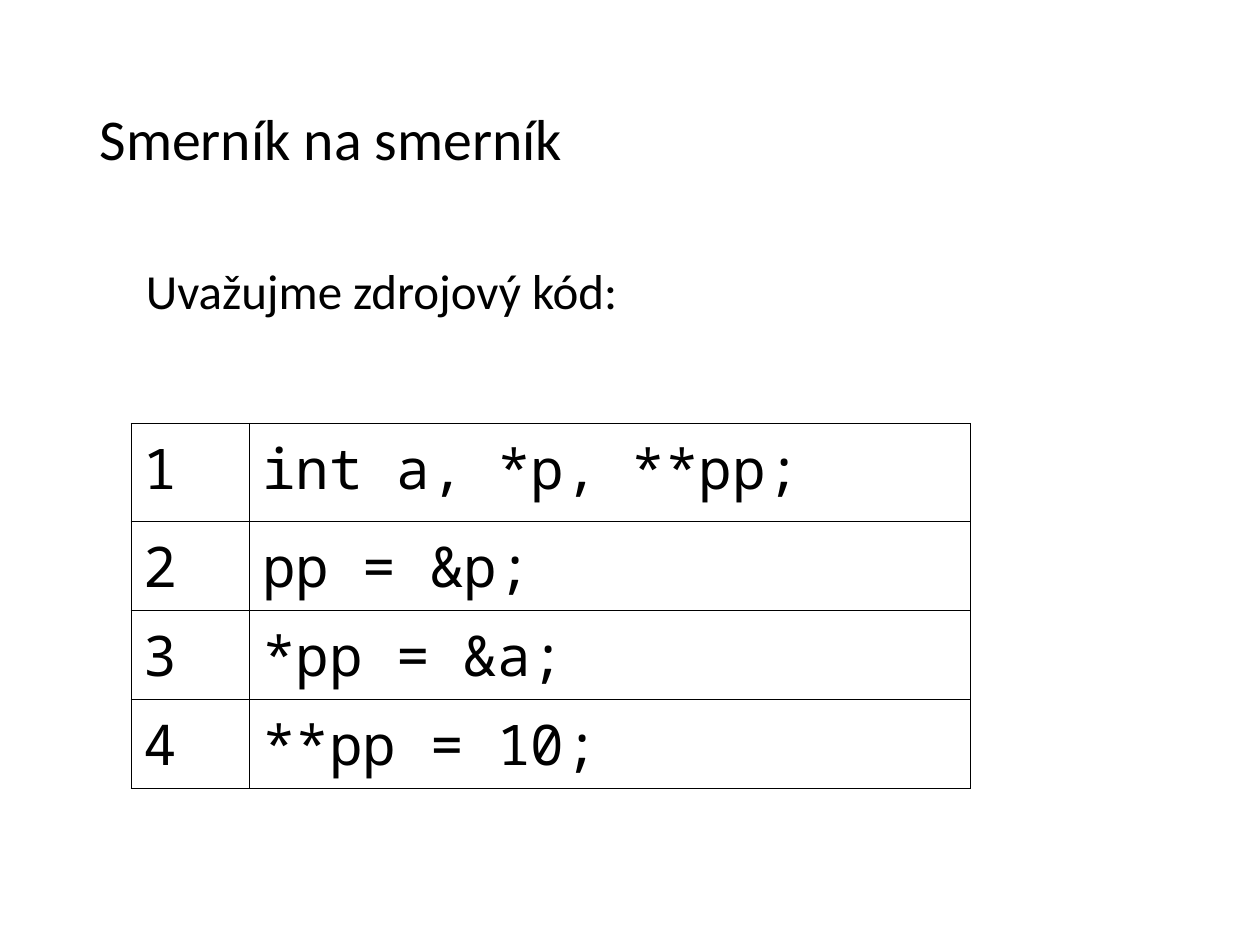
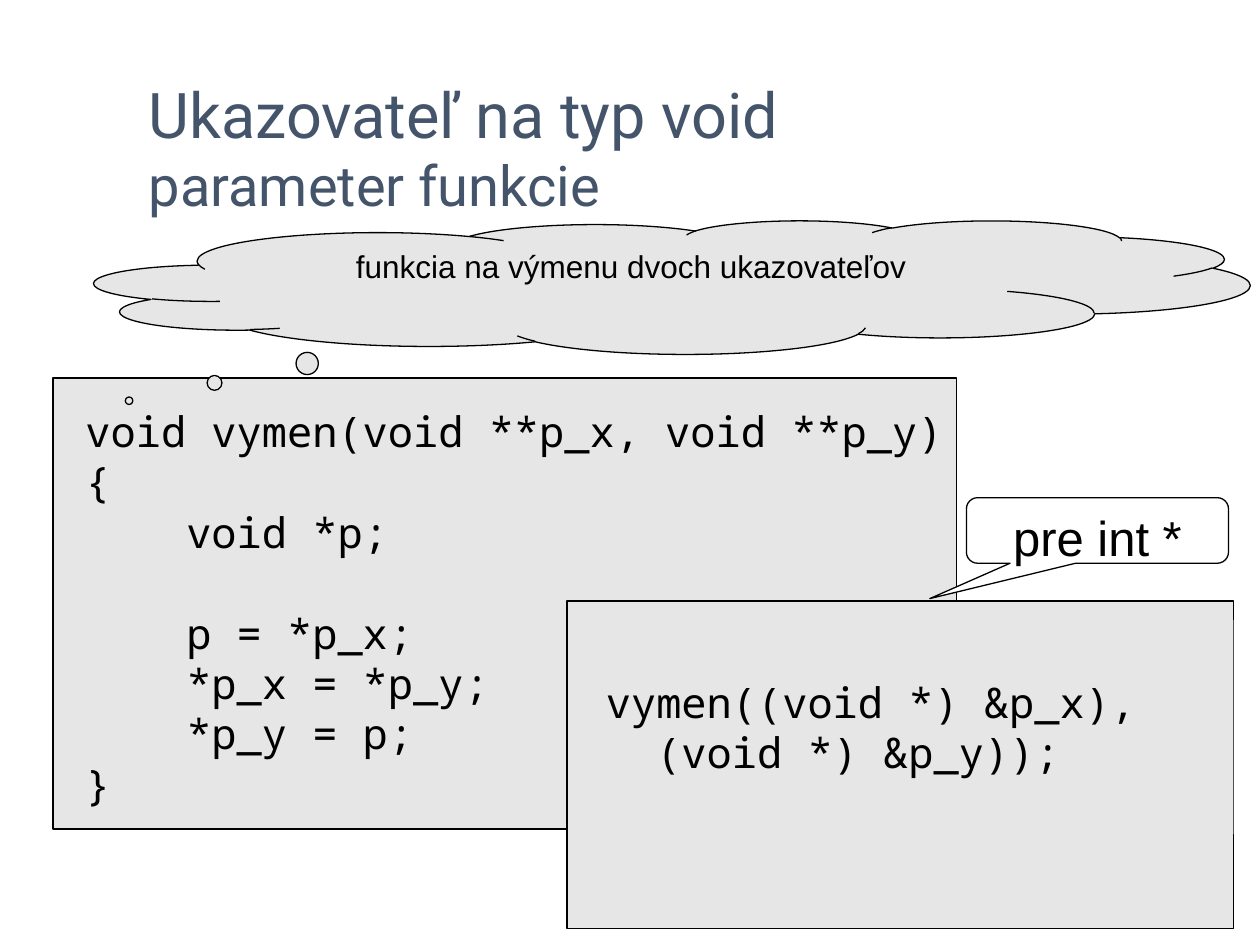
from pptx import Presentation
from pptx.dml.color import RGBColor
from pptx.enum.shapes import MSO_SHAPE
from pptx.enum.text import MSO_ANCHOR, MSO_AUTO_SIZE, PP_ALIGN
from pptx.oxml import parse_xml
from pptx.oxml.ns import nsdecls
from pptx.util import Inches, Pt

RECT = MSO_SHAPE.RECTANGLE
CLOUD = MSO_SHAPE.CLOUD_CALLOUT
BUBBLE = MSO_SHAPE.ROUNDED_RECTANGULAR_CALLOUT
TOP, MIDDLE = MSO_ANCHOR.TOP, MSO_ANCHOR.MIDDLE
LEFT, CENTER = PP_ALIGN.LEFT, PP_ALIGN.CENTER
FIXED = MSO_AUTO_SIZE.NONE


class Theme:
    black = RGBColor(0, 0, 0)
    white = RGBColor(255, 255, 255)
    slate = RGBColor(0x44, 0x54, 0x6A)
    gray = RGBColor(0xE7, 0xE6, 0xE6)
    line = Pt(0.75)
    head = {"name": "Calibri", "size": Pt(33)}
    lead = {"name": "Calibri", "size": Pt(28)}
    cell = {"name": "Noto Sans Mono", "size": Pt(32)}
    code = {"name": "Noto Sans Mono", "size": Pt(24)}
    topic = {"name": "Roboto", "size": Pt(36)}
    under = {"name": "Roboto", "size": Pt(32)}
    note = {"name": "Arial", "size": Pt(18)}
    label = {"name": "Arial", "size": Pt(28)}


def write(frame, lines, font, align=LEFT, anchor=TOP, color=Theme.black):
    """Fill a frame with paragraphs; an empty line becomes space before the next."""
    form = {"word_wrap": True, "auto_size": FIXED, "vertical_anchor": anchor}
    for key, value in form.items():
        setattr(frame, key, value)
    para, gap = frame.paragraphs[0], 0
    for index, text in enumerate(lines):
        if not text:
            gap = font["size"] * 1.2
            continue
        if index:
            para = frame.add_paragraph()
        para.alignment = align
        para.space_before = int(gap)
        gap = 0
        run = para.add_run()
        run.text = text
        for key, value in font.items():
            setattr(run.font, key, value)
        run.font.color.rgb = color
    return para


def draw(slide, kind, box, fill, outline=True):
    shape = slide.shapes.add_shape(kind, *map(Inches, box))
    shape.shadow.inherit = False
    shape.fill.solid()
    shape.fill.fore_color.rgb = fill
    if outline:
        shape.line.color.rgb = Theme.black
        shape.line.width = Theme.line
    else:
        shape.line.fill.background()
    return shape


deck = Presentation()
deck.slide_width, deck.slide_height = Inches(10), Inches(7.5)
heads = [
    ((0.69, 0.4, 8.63, 1.45), "Smerník na smerník", Theme.head, Theme.black),
    ((1.08, 0.58, 8.42, 1.17), "Ukazovateľ na typ void", Theme.topic, Theme.slate),
]
slides, titles = [], []
for box, text, font, color in heads:
    slide = deck.slides.add_slide(deck.slide_layouts[5])
    title = slide.shapes.title
    title.left, title.top, title.width, title.height = map(Inches, box)
    titles.append(write(title.text_frame, [text], font, anchor=MIDDLE, color=color))
    slides.append(slide)

# Slide 1: numbered source code
slide = slides[0]
titles[0].line_spacing = 0.9
rows = ["int a, *p, **pp;", "pp = &p;", "*pp = &a;", "**pp = 10;"]
table = slide.shapes.add_table(
    len(rows), 2, *map(Inches, (1.04, 3.36, 6.67, 2.69))
).table
table.first_row = table.horz_banding = False
table.columns[0].width, table.columns[1].width = Inches(0.94), Inches(5.72)
for index, text in enumerate(rows):
    table.rows[index].height = Inches(0.64 if index else 0.78)
    for col, value in enumerate([str(index + 1), text]):
        cell = table.cell(index, col)
        write(cell.text_frame, [value], Theme.cell)
        props = cell._tc.get_or_add_tcPr()
        for side in ("lnL", "lnR", "lnT", "lnB"):
            props.append(parse_xml(
                f'<a:{side} {nsdecls("a")} w="{Pt(0.45)}"><a:solidFill>'
                f'<a:srgbClr val="{Theme.black}"/></a:solidFill></a:{side}>'
            ))
        cell.fill.background()
lead = slide.shapes.add_textbox(*map(Inches, (1.06, 2.02, 7.32, 1.04)))
write(lead.text_frame, ["Uvažujme zdrojový kód:"], Theme.lead)

# Slide 2: swap function and its call
slide = slides[1]
titles[1].add_line_break()
run = titles[1].add_run()
run.text = "parameter funkcie"
for key, value in Theme.under.items():
    setattr(run.font, key, value)
run.font.color.rgb = Theme.slate

draw(slide, RECT, (0.42, 3, 7.17, 3.58), Theme.gray)
code = slide.shapes.add_textbox(*map(Inches, (0.58, 3.17, 7, 3.7)))
code.text_frame.margin_right = 0
write(code.text_frame, [
    "void vymen(void **p_x, void **p_y)",
    "{",
    "    void *p;",
    "",
    "    p = *p_x;",
    "    *p_x = *p_y;",
    "    *p_y = p;",
    "}",
], Theme.code)

bubble = draw(slide, BUBBLE, (7.67, 3.95, 2.08, 0.52), Theme.white)
draw(slide, RECT, (4.5, 4.77, 5.29, 2.6), Theme.gray)
call = draw(slide, RECT, (4.71, 4.92, 5.08, 1.7), Theme.gray, outline=False)
call.text_frame.margin_top = Inches(0.45)
write(call.text_frame, ["vymen((void *) &p_x),", "  (void *) &p_y));"], Theme.code)
cloud = draw(slide, CLOUD, (0.75, 1.75, 9.17, 1.06), Theme.gray)

notes = [
    (bubble, "pre int *", Theme.label, (-0.64, 1.04, 0.17)),
    (cloud, "funkcia na výmenu dvoch ukazovateľov", Theme.note, (-0.47, 0.85)),
]
for shape, text, font, tip in notes:
    for index, value in enumerate(tip):
        shape.adjustments[index] = value
    write(shape.text_frame, [text], font, align=CENTER)

deck.save("out.pptx")
